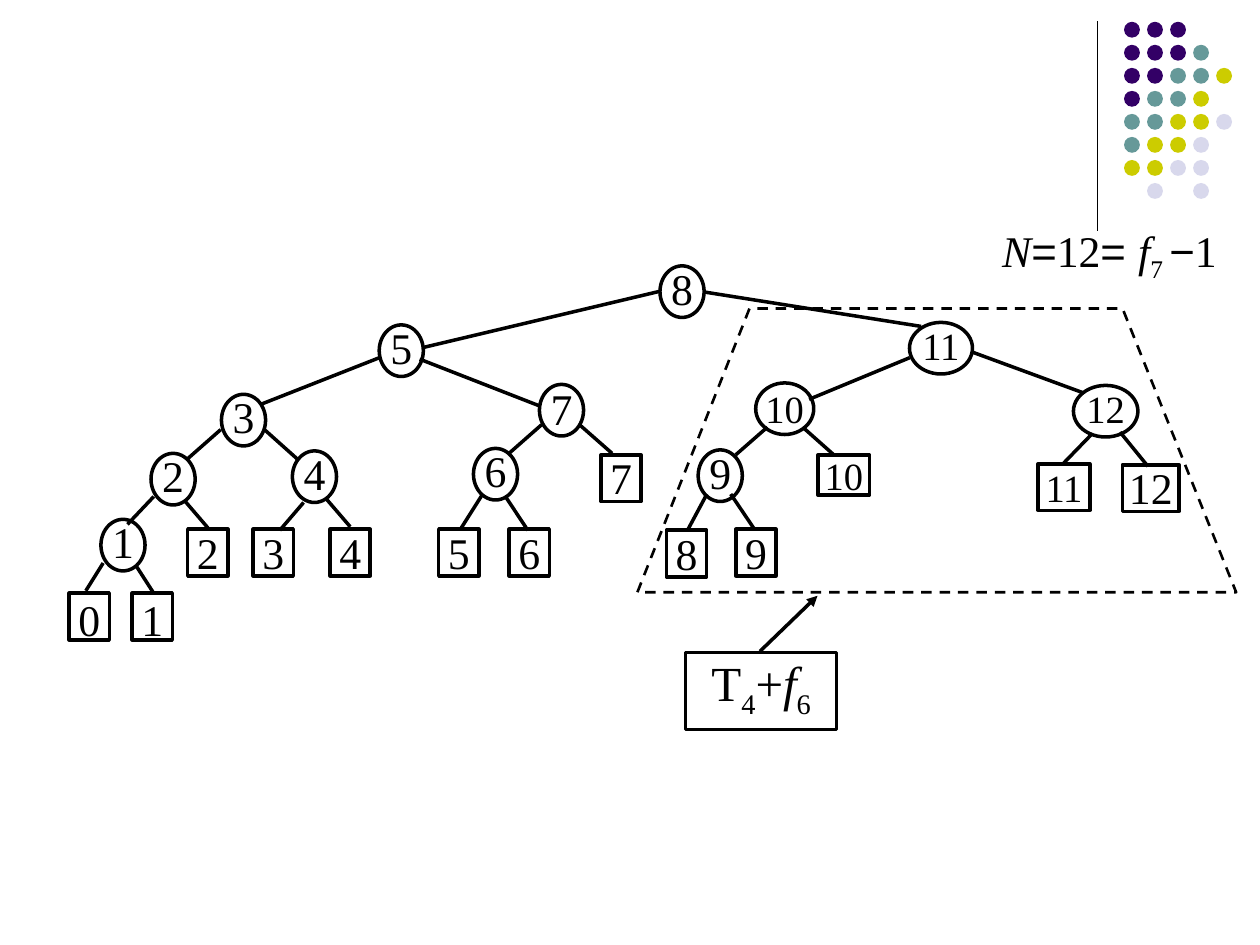
"""Build a slide showing a Fibonacci search tree with one subtree outlined."""
from lxml.etree import SubElement
from pptx import Presentation
from pptx.dml.color import RGBColor
from pptx.enum.dml import MSO_LINE
from pptx.enum.shapes import MSO_CONNECTOR, MSO_SHAPE
from pptx.enum.text import MSO_ANCHOR, PP_ALIGN
from pptx.oxml.ns import qn
from pptx.util import Cm, Pt

BLACK = "000000"
SERIF = "Times New Roman"
DOT_COLOURS = {"P": "330066", "T": "669999", "Y": "CCCC00", "L": "D8D8EC"}
DOT_ROWS = ["PPP", "PPPT", "PPTTY", "PTTY", "TTYYL", "TYYL", "YYLL", " L L"]
DOT_SIZE, DOT_PITCH = 0.32, 3.25 / 7
DOT_START = (22.82, 0.60)

NODE_FORMAT = {"width": 0.89, "height": 1.04, "size": 25, "spacing": 0.72, "after": 4.6}
NODES = [
    ("8", 13.75, 5.88, {}),
    ("5", 8.09, 7.07, {}),
    ("11", 18.97, 7.02, {"width": 1.27, "size": 22}),
    ("3", 4.91, 8.47, {}),
    ("7", 11.32, 8.27, {"spacing": 0.8}),
    ("10", 15.82, 8.24, {"width": 1.17, "size": 22, "spacing": 0.9, "after": 0}),
    ("12", 22.29, 8.29, {"width": 1.30, "size": 22}),
    ("2", 3.49, 9.66, {}),
    ("4", 6.34, 9.61, {}),
    ("6", 9.99, 9.56, {}),
    ("9", 14.52, 9.59, {}),
    ("1", 2.48, 10.99, {}),
]
LEAF_FORMAT = {"width": 0.81, "height": 0.94, "size": 25, "spacing": 0.9}
LEAVES = [
    ("0", 1.80, 12.43, {"spacing": 1.0}),
    ("1", 3.07, 12.43, {"spacing": 1.0}),
    ("2", 4.19, 11.14, {}),
    ("3", 5.51, 11.14, {}),
    ("4", 7.06, 11.14, {}),
    ("5", 9.25, 11.14, {}),
    ("6", 10.67, 11.14, {}),
    ("7", 12.52, 9.64, {}),
    ("8", 13.84, 11.16, {}),
    ("9", 15.24, 11.14, {}),
    ("10", 17.01, 9.58, {"width": 1.04, "height": 0.81, "size": 22}),
    ("11", 21.45, 9.82, {"width": 1.04, "size": 22}),
    ("12", 23.20, 9.84, {"width": 1.14}),
]
EDGES = [
    (13.31, 5.87, 8.51, 7.01), (14.22, 5.89, 18.57, 6.58),
    (7.65, 7.21, 5.26, 8.15), (8.46, 7.24, 10.87, 8.18),
    (18.34, 7.21, 16.31, 8.05), (19.58, 7.09, 21.84, 7.92),
    (4.45, 8.66, 3.78, 9.25), (5.33, 8.66, 5.99, 9.25),
    (10.92, 8.56, 10.26, 9.14), (11.68, 8.56, 12.34, 9.14),
    (15.47, 8.61, 14.83, 9.17), (16.18, 8.61, 16.81, 9.17),
    (22.02, 8.74, 21.41, 9.37), (22.58, 8.71, 23.14, 9.40),
    (3.10, 10.01, 2.57, 10.57), (3.71, 10.08, 4.19, 10.64),
    (6.12, 10.13, 5.64, 10.69), (6.58, 10.06, 7.06, 10.62),
    (9.73, 9.96, 9.30, 10.64), (10.19, 10.01, 10.64, 10.69),
    (14.25, 9.96, 13.87, 10.67), (14.73, 9.96, 15.21, 10.67),
    (2.08, 11.35, 1.73, 11.91), (2.74, 11.40, 3.10, 11.96),
]
SUBTREE_OUTLINE = [(12.85, 11.94), (15.11, 6.22), (22.63, 6.22), (24.92, 11.94)]

ITALIC, SUBSCRIPT, SANS = {"italic": True}, {"subscript": True}, {"font": "Arial"}
FORMULA = [("N", ITALIC), ("=", SANS), ("12", {}), ("= ", SANS), ("f", ITALIC),
           ("7 ", SUBSCRIPT), ("−", SANS), ("1", {})]
SUBTREE_LABEL = [("T", {}), ("4", SUBSCRIPT), ("+", {}), ("f", ITALIC), ("6", SUBSCRIPT)]


def colour(value):
    return RGBColor.from_string(value)


def write_text(shape, runs, size=25, spacing=1.0, after=0, top=0, bottom=0,
               anchor=MSO_ANCHOR.TOP):
    frame = shape.text_frame
    frame.word_wrap = True
    frame.vertical_anchor = anchor
    frame.margin_left = frame.margin_right = 0
    frame.margin_top, frame.margin_bottom = Cm(top), Cm(bottom)
    paragraph = frame.paragraphs[0]
    paragraph.alignment = PP_ALIGN.CENTER
    paragraph.line_spacing = spacing
    paragraph.space_after = Pt(after)
    for text, style in runs:
        run = paragraph.add_run()
        run.text = text
        run.font.size = Pt(size)
        run.font.name = style.get("font", SERIF)
        run.font.italic = style.get("italic", False)
        run.font.color.rgb = colour(BLACK)
        if style.get("subscript"):
            run.font._element.set("baseline", "-25000")


def add_shape(slide, kind, left, top, width, height, fill=None, line_width=None):
    shape = slide.shapes.add_shape(kind, Cm(left), Cm(top), Cm(width), Cm(height))
    style_shape(shape, fill, line_width)
    return shape


def style_shape(shape, fill=None, line_width=None):
    shape.shadow.inherit = False
    if fill:
        shape.fill.solid()
        shape.fill.fore_color.rgb = colour(fill)
    else:
        shape.fill.background()
    if line_width:
        shape.line.color.rgb = colour(BLACK)
        shape.line.width = Pt(line_width)
    else:
        shape.line.fill.background()


def add_line(slide, ends, width=2, arrow=False):
    connector = slide.shapes.add_connector(MSO_CONNECTOR.STRAIGHT, *map(Cm, ends))
    connector.line.color.rgb = colour(BLACK)
    connector.line.width = Pt(width)
    if arrow:
        SubElement(connector.line._get_or_add_ln(), qn("a:tailEnd"), type="triangle")
    SubElement(connector._element.spPr, qn("a:effectLst"))


def add_tree_items(slide, kind, items, defaults):
    for text, centre_x, centre_y, changes in items:
        style = defaults | changes
        width, height = style.pop("width"), style.pop("height")
        shape = add_shape(slide, kind, centre_x - width / 2, centre_y - height / 2,
                          width, height, line_width=2)
        write_text(shape, [(text, {})], top=0.1, anchor=MSO_ANCHOR.MIDDLE, **style)


def add_dots(slide):
    for row, letters in enumerate(DOT_ROWS):
        for column, letter in enumerate(letters):
            if letter in DOT_COLOURS:
                add_shape(slide, MSO_SHAPE.OVAL,
                          DOT_START[0] + column * DOT_PITCH - DOT_SIZE / 2,
                          DOT_START[1] + row * DOT_PITCH - DOT_SIZE / 2,
                          DOT_SIZE, DOT_SIZE, fill=DOT_COLOURS[letter])


def add_subtree_outline(slide):
    points = [(Cm(x), Cm(y)) for x, y in SUBTREE_OUTLINE]
    builder = slide.shapes.build_freeform(*points[0])
    builder.add_line_segments(points[1:], close=True)
    outline = builder.convert_to_shape()
    style_shape(outline, line_width=1.5)
    outline.line.dash_style = MSO_LINE.DASH


def main():
    presentation = Presentation()
    presentation.slide_width, presentation.slide_height = Cm(25.4), Cm(19.05)
    slide = presentation.slides.add_slide(presentation.slide_layouts[6])
    add_line(slide, (22.12, 0.43, 22.12, 4.65), width=0.75)
    add_dots(slide)
    for edge in EDGES:
        add_line(slide, edge)
    add_tree_items(slide, MSO_SHAPE.OVAL, NODES, NODE_FORMAT)
    add_tree_items(slide, MSO_SHAPE.RECTANGLE, LEAVES, LEAF_FORMAT)
    formula = slide.shapes.add_textbox(Cm(19.94), Cm(4.83), Cm(4.85), Cm(0.89))
    write_text(formula, FORMULA, spacing=Pt(25))
    add_subtree_outline(slide)
    label = add_shape(slide, MSO_SHAPE.RECTANGLE, 13.82, 13.16, 3.05, 1.55, line_width=1.75)
    write_text(label, SUBTREE_LABEL, size=28, after=12.2, bottom=0.2)
    add_line(slide, (15.32, 13.13, 16.48, 12.01), arrow=True)
    presentation.save("out.pptx")


if __name__ == "__main__":
    main()
